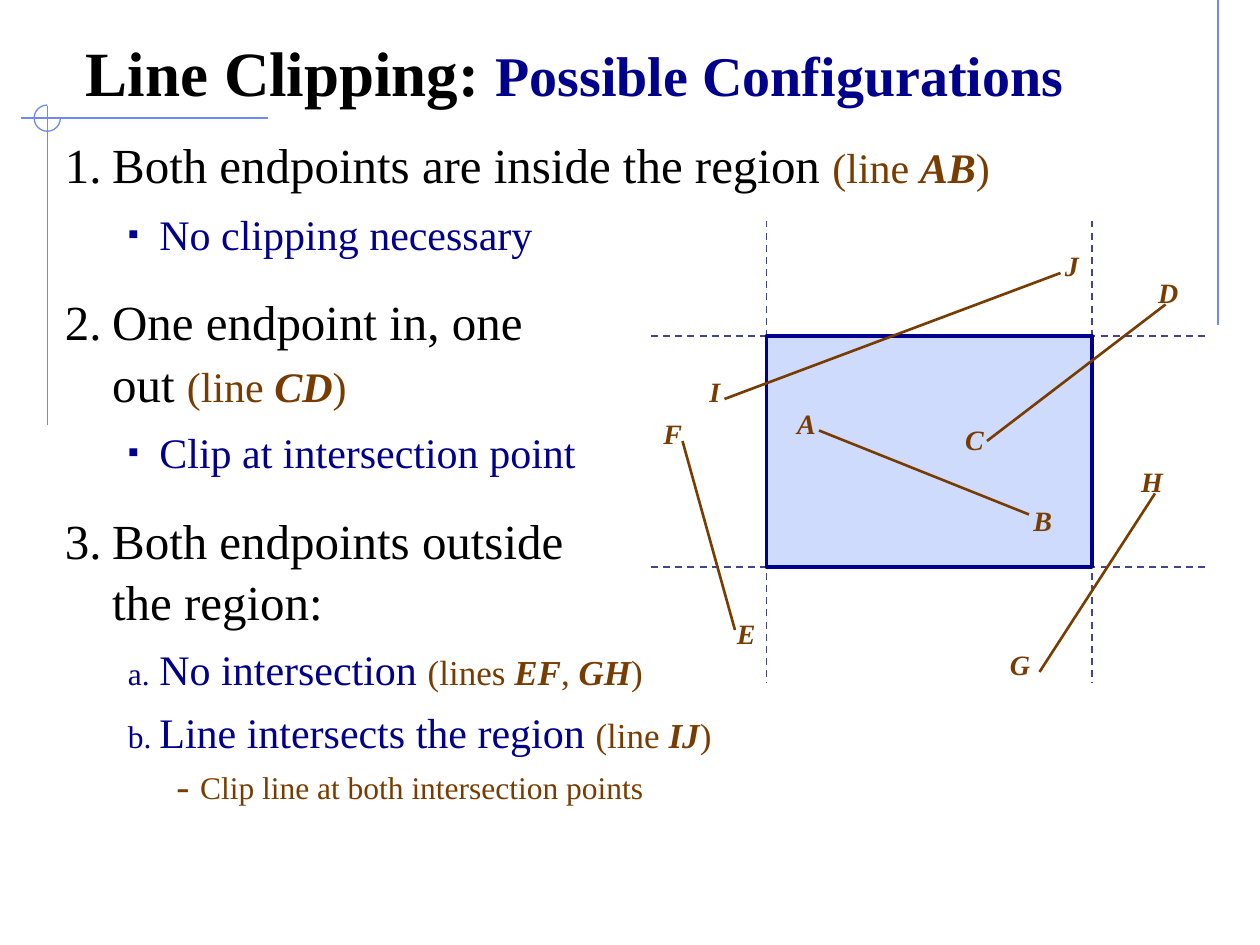
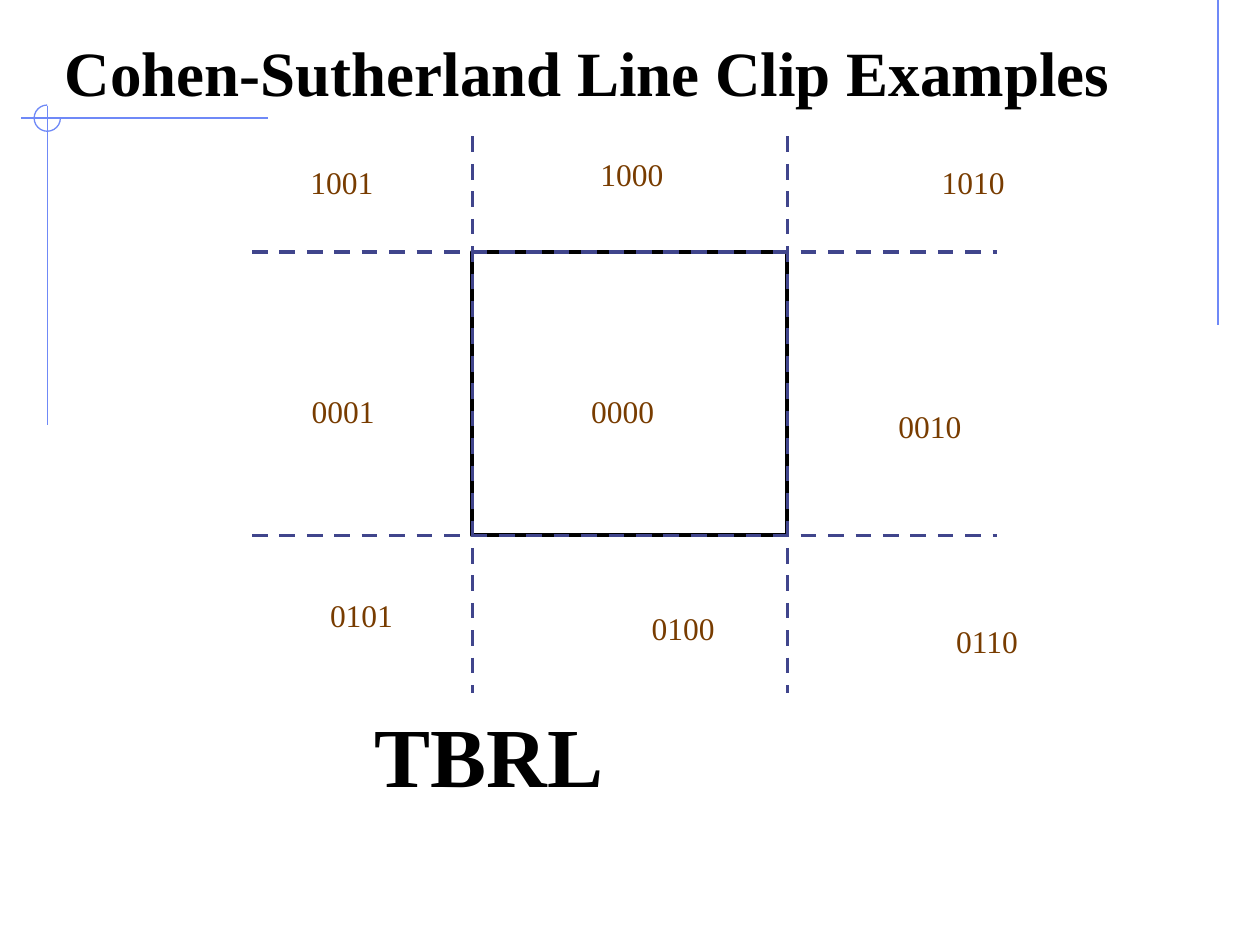
from lxml import etree
from pptx import Presentation, util as u
from pptx.dml.color import RGBColor
from pptx.enum import dml, shapes, text as t
from pptx.oxml.ns import qn

PX = 9525  # EMU in one px, 96 px to the inch
BLACK, NAVY, BROWN = "000000", "00008C", "783C00"
SKY, SLATE, PALE = "6F89F7", "40458C", "CFDBFD"
hue = RGBColor.from_string


def text(words, on=None, at=None, para=None, size=18, color=BLACK,
         bold=False, italic=False, low=False):
    """Add a run to para, or to a new box at (x, y, w, h); return its paragraph."""
    if para is None:
        frame = on.shapes.add_textbox(*[n * PX for n in at]).text_frame
        frame.word_wrap = True
        frame.vertical_anchor = t.MSO_ANCHOR.BOTTOM if low else t.MSO_ANCHOR.TOP
        para = frame.paragraphs[0]
        para.line_spacing = 1.04
    run = para.add_run()
    run.text = words
    font = run.font
    font.name, font.size = "Times New Roman", u.Pt(size)
    font.bold, font.italic = bold, italic
    font.color.rgb = hue(color)
    return para


def line(on, x1, y1, x2, y2, color, width, dash=False):
    link = on.shapes.add_connector(
        shapes.MSO_CONNECTOR.STRAIGHT, *[n * PX for n in (x1, y1, x2, y2)])
    link.line.color.rgb = hue(color)
    link.line.width = u.Pt(width)
    if dash:
        link.line.dash_style = dml.MSO_LINE.DASH
    etree.SubElement(link._element.spPr, qn("a:effectLst"))


deck = Presentation()
deck.slide_width, deck.slide_height = 960 * PX, 720 * PX
pair = [deck.slides.add_slide(deck.slide_layouts[6]) for _ in range(2)]
conf, codes = pair

# Shared ornament
for page in pair:
    line(page, 928, 0, 928, 248, SKY, 0.75)
    line(page, 204, 90, 16, 90, SKY, 0.75)
    line(page, 36, 81, 36, 324, SKY, 0.75)
    arc = page.shapes.add_shape(
        shapes.MSO_SHAPE.ARC, 26 * PX, 80 * PX, 20 * PX, 20 * PX)
    arc.adjustments[0], arc.adjustments[1] = 0, 162  # 0 to 270 degrees
    arc.shadow.inherit = False
    arc.fill.background()
    arc.line.color.rgb = hue(SKY)
    arc.line.width = u.Pt(0.75)

# Titles
title = text("Line Clipping: ", conf, (56, 24, 848, 64), size=36, bold=True, low=True)
text("Possible Configurations", para=title, size=32, color=NAVY, bold=True)
text("Cohen-Sutherland Line Clip Examples", codes, (40, 24, 904, 64),
     size=36, bold=True, low=True)

# Outline: level, bullet, space before, runs as (words, size, colour, strong)
levels = [(36, -36, BLACK, 100), (72, -24, NAVY, 75), (103, -18, BROWN, 125)]
items = [
    (0, 1, 0, [("Both endpoints are inside the region ", 28, BLACK, False),
               ("(line ", 24, BROWN, False), ("AB", 24, BROWN, True),
               (")", 24, BROWN, False)]),
    (1, "▪", 7.5, [("No clipping necessary", 24, NAVY, False)]),
    (0, 2, 17.5, [("One endpoint in, one\n", 28, BLACK, False),
                  ("out ", 28, BLACK, False), ("(line ", 24, BROWN, False),
                  ("CD", 24, BROWN, True), (")", 24, BROWN, False)]),
    (1, "▪", 7.5, [("Clip at intersection point", 24, NAVY, False)]),
    (0, 3, 17.5, [("Both endpoints outside\n", 28, BLACK, False),
                  ("the region:", 28, BLACK, False)]),
    (1, 1, 6.2, [("No intersection ", 24, NAVY, False),
                 ("(lines ", 20, BROWN, False), ("EF", 20, BROWN, True),
                 (", ", 20, BROWN, False), ("GH", 20, BROWN, True),
                 (")", 20, BROWN, False)]),
    (1, 2, 6.2, [("Line intersects the region ", 24, NAVY, False),
                 ("(line ", 20, BROWN, False), ("IJ", 20, BROWN, True),
                 (")", 20, BROWN, False)]),
    (2, "-", 5.6, [("Clip line at both intersection points", 18, BROWN, False)]),
]
body = conf.shapes.add_textbox(40 * PX, 96 * PX, 880 * PX, 592 * PX).text_frame
body.word_wrap = True
for i, (level, mark, gap, runs) in enumerate(items):
    para = body.add_paragraph() if i else body.paragraphs[0]
    left, hang, color, scale = levels[level]
    props = para._p.get_or_add_pPr()
    props.set("marL", str(left * PX))
    props.set("indent", str(hang * PX))
    tint = etree.SubElement(props, qn("a:buClr"))
    etree.SubElement(tint, qn("a:srgbClr"), val=color)
    etree.SubElement(props, qn("a:buSzPct"), val=str(scale * 1000))
    etree.SubElement(props, qn("a:buFont"), typeface="Times New Roman")
    if isinstance(mark, int):
        kind = "alphaLcPeriod" if level else "arabicPeriod"
        etree.SubElement(props, qn("a:buAutoNum"), type=kind, startAt=str(mark))
    else:
        etree.SubElement(props, qn("a:buChar"), char=mark)
    para.level = level
    para.line_spacing = 1.04
    para.space_before = u.Pt(gap)
    for words, size, shade, strong in runs:
        text(words.rstrip("\n"), para=para, size=size, color=shade,
             bold=strong, italic=strong)
        if words.endswith("\n"):
            para.add_line_break()

# Clip windows with their guides: window, guide reach, guide width, fill, edge
views = [
    (conf, (584, 256, 832, 432), (496, 168, 920, 520), 1, PALE, NAVY),
    (codes, (360, 192, 600, 408), (192, 104, 760, 528), 2.25, None, BLACK),
]
for page, (x1, y1, x2, y2), (left, top, right, foot), width, fill, edge in views:
    guides = [(x, top, x, foot) for x in (x1, x2)]
    guides += [(left, y, right, y) for y in (y1, y2)]
    if fill:
        for ends in guides:
            line(page, *ends, SLATE, width, dash=True)
    pane = page.shapes.add_shape(
        shapes.MSO_SHAPE.RECTANGLE, x1 * PX, y1 * PX, (x2 - x1) * PX, (y2 - y1) * PX)
    pane.shadow.inherit = False
    pane.line.color.rgb = hue(edge)
    pane.line.width = u.Pt(2.25)
    if fill:
        pane.fill.solid()
        pane.fill.fore_color.rgb = hue(fill)
    else:
        pane.fill.background()
        for ends in guides:
            line(page, *ends, SLATE, width, dash=True)

# Sample lines and the names of their endpoints
for ends in [(752, 336, 888, 232), (784, 392, 624, 328), (808, 208, 552, 304),
             (560, 480, 520, 336), (880, 376, 792, 512)]:
    line(conf, *ends, BROWN, 1.5)
for name, x, y in [("A", 598, 304), ("B", 778, 378), ("C", 726, 316),
                   ("D", 873, 204), ("E", 552, 464), ("F", 496, 312),
                   ("G", 760, 488), ("H", 860, 348), ("I", 531, 280),
                   ("J", 802, 184)]:
    text(name, conf, (x, y, 40, 36), size=16, color=BROWN, bold=True, italic=True)

# Region codes
for code, x, y in [("1001", 227, 118), ("1000", 448, 112), ("1010", 708, 118),
                   ("0001", 228, 293), ("0000", 441, 293), ("0010", 675, 304),
                   ("0101", 242, 448), ("0100", 487, 458), ("0110", 719, 468)]:
    text(code, codes, (x, y, 72, 38), color=BROWN)
text("TBRL", codes, (276, 528, 527, 163), size=48, bold=True)

deck.save("out.pptx")
